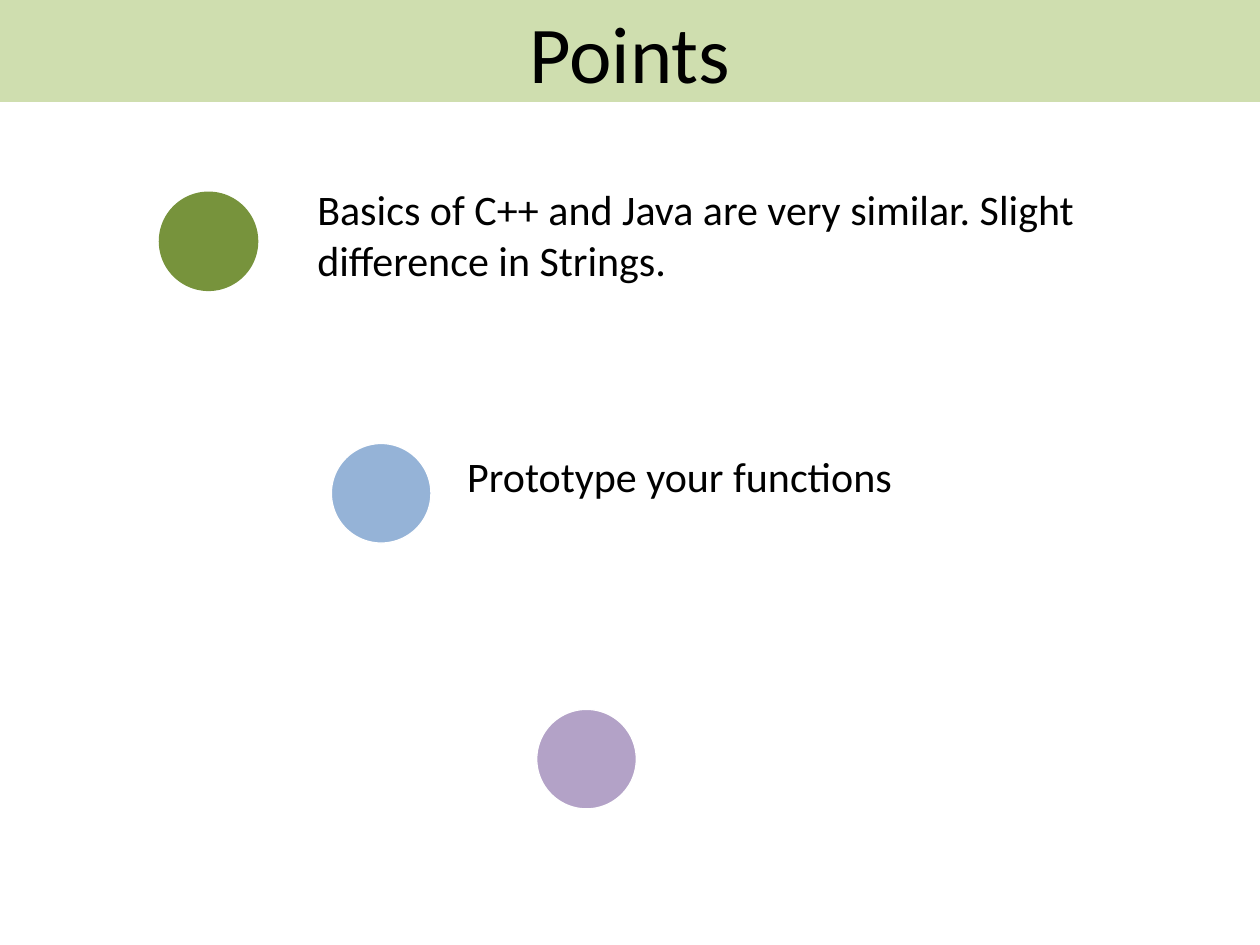
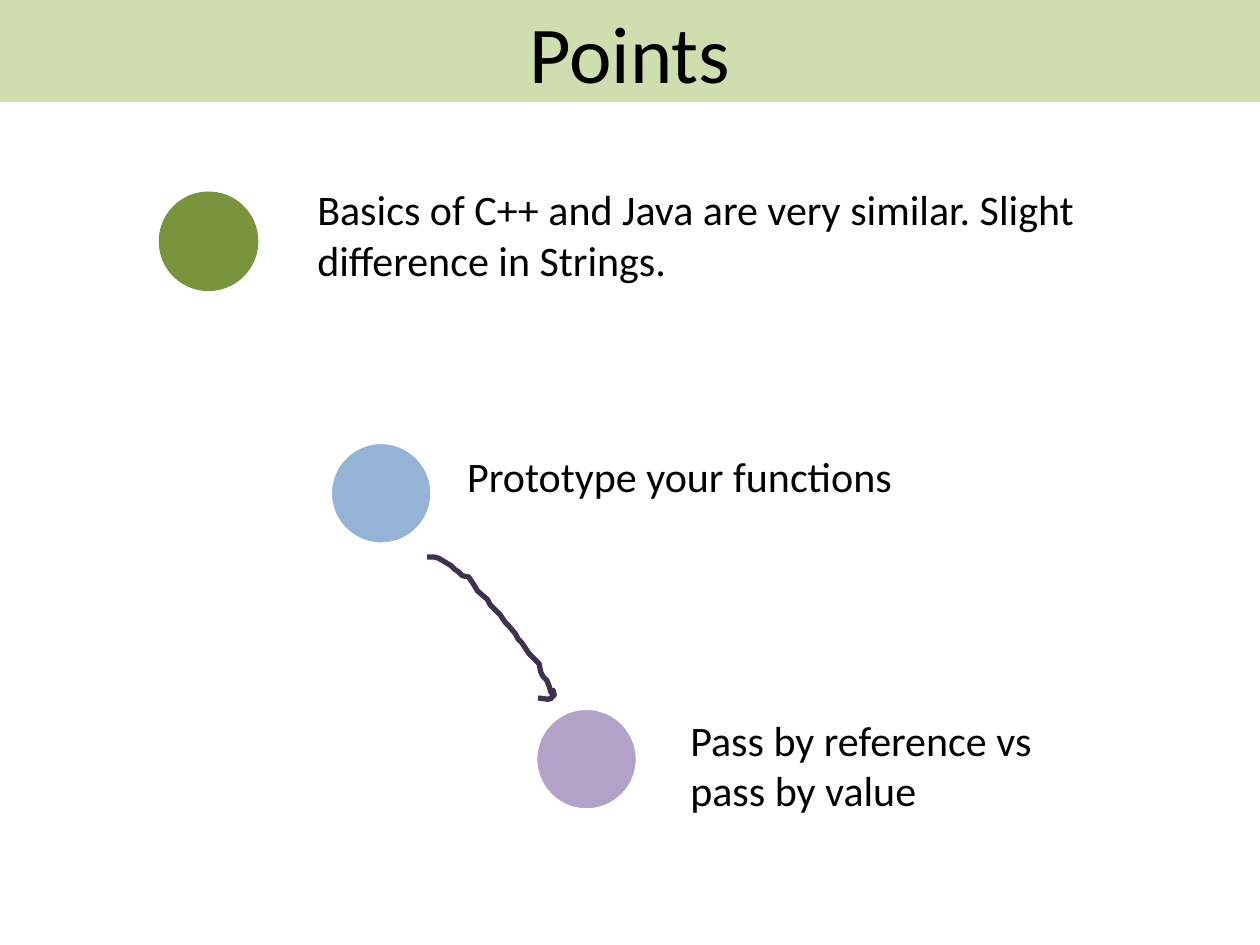
from collections import namedtuple

from pptx import Presentation
from pptx import util as u
from pptx.dml.color import RGBColor
from pptx.enum import shapes, text
from pptx.oxml import parse_xml
from pptx.oxml.ns import nsdecls

COLUMNS, ROWS = 100, 75
WIDTH, HEIGHT = u.Inches(10), u.Inches(7.5)
CELL = WIDTH // COLUMNS
DOT_SIZE = 7.9

BAND, GREEN, BLUE, PURPLE, INK = "C3D69B", "77933C", "95B3D7", "B3A2C7", "403152"
WHITE, BLACK = "FFFFFF", "000000"

Box = namedtuple("Box", "left top width height")
Step = namedtuple("Step", "dot_box colour outline caption_box lines wrap")

BASICS = Step(
    Box(12.6, 15.2, DOT_SIZE, DOT_SIZE), GREEN, None, Box(11.6, -1.1, 65, 9.1),
    ["Basics of C++ and Java are very similar. Slight difference in Strings."], True)
PROTOTYPE = Step(
    Box(26.3, 35.2, DOT_SIZE, DOT_SIZE), BLUE, WHITE, Box(9.8, 0.1, 36.2, 5),
    ["Prototype your functions"], False)
PASSING = Step(
    Box(42.6, 56.3, DOT_SIZE, DOT_SIZE), PURPLE, WHITE, Box(11.2, -0.1, 42.5, 9.1),
    ["Pass by reference vs", "pass by value"], True)
UNNAMED = PASSING._replace(lines=[])

STROKE_BOX = Box(33.9, 44.2, 10.1, 11.3)
STROKE = [
    (0, 0), (5, 0), (9, 1), (14, 4), (19, 7), (22, 10), (25, 12), (28, 15),
    (33, 16), (37, 22), (40, 27), (48, 34), (50, 38), (54, 42), (58, 46),
    (62, 52), (65, 55), (70, 61), (72, 65), (75, 68), (81, 77), (89, 85),
    (90, 91), (92, 95), (95, 98), (97, 103), (98, 107), (101, 110),
    (100, 106), (99, 112), (96, 113), (88, 112)]


def colour(value):
    return RGBColor.from_string(value)


def place(box):
    return [round(length * CELL) for length in box]


def apply_format(target, values):
    for name, value in values.items():
        setattr(target, name, value)


def style_shape(shape, fill=None, line=None, line_width=0.75):
    shape.shadow.inherit = False
    for format_, value in ((shape.fill, fill), (shape.line.fill, line)):
        if value:
            format_.solid()
            format_.fore_color.rgb = colour(value)
        else:
            format_.background()
    if line:
        shape.line.width = u.Pt(line_width)


def write(frame, lines, size, alignment):
    for index, line in enumerate(lines):
        paragraph = frame.add_paragraph() if index else frame.paragraphs[0]
        paragraph.alignment = alignment
        run = paragraph.add_run()
        run.text = line
        apply_format(run.font, {"name": "Calibri", "size": u.Pt(size)})
        run.font.color.rgb = colour(BLACK)


def add_title_band(slide, box, title):
    band = slide.shapes.add_shape(shapes.MSO_SHAPE.RECTANGLE, *place(box))
    style_shape(band, BAND)
    band.fill._xPr.solidFill.srgbClr.append(
        parse_xml(f'<a:alpha {nsdecls("a")} val="80000"/>'))
    band.text_frame.vertical_anchor = text.MSO_ANCHOR.MIDDLE
    write(band.text_frame, [title], 46, text.PP_ALIGN.CENTER)


def add_step(slide, step):
    dot = slide.shapes.add_shape(shapes.MSO_SHAPE.OVAL, *place(step.dot_box))
    style_shape(dot, step.colour, step.outline)
    if step.lines:
        caption = step.caption_box
        box = caption._replace(left=step.dot_box.left + caption.left,
                               top=step.dot_box.top + caption.top)
        frame = slide.shapes.add_textbox(*place(box)).text_frame
        apply_format(frame, {"word_wrap": step.wrap,
                             "auto_size": text.MSO_AUTO_SIZE.SHAPE_TO_FIT_TEXT})
        write(frame, step.lines, 24, text.PP_ALIGN.LEFT)


def add_stroke(slide, box):
    left, top, _, _ = place(box)
    builder = slide.shapes.build_freeform(*STROKE[0], scale=CELL / 10)
    builder.add_line_segments(STROKE[1:], close=False)
    style_shape(builder.convert_to_shape(left, top), line=INK, line_width=3)


def add_points_slide(presentation, steps, stroke_box=None):
    slide = presentation.slides.add_slide(presentation.slide_layouts[6])
    add_title_band(slide, Box(0, 0, COLUMNS, 8.1), "Points")
    for step in steps:
        add_step(slide, step)
    if stroke_box:
        add_stroke(slide, stroke_box)


def main():
    presentation = Presentation()
    apply_format(presentation, {"slide_width": WIDTH, "slide_height": HEIGHT})
    add_points_slide(presentation, [PROTOTYPE, UNNAMED, BASICS])
    add_points_slide(presentation, [PROTOTYPE, PASSING, BASICS], STROKE_BOX)
    presentation.save("out.pptx")


if __name__ == "__main__":
    main()
